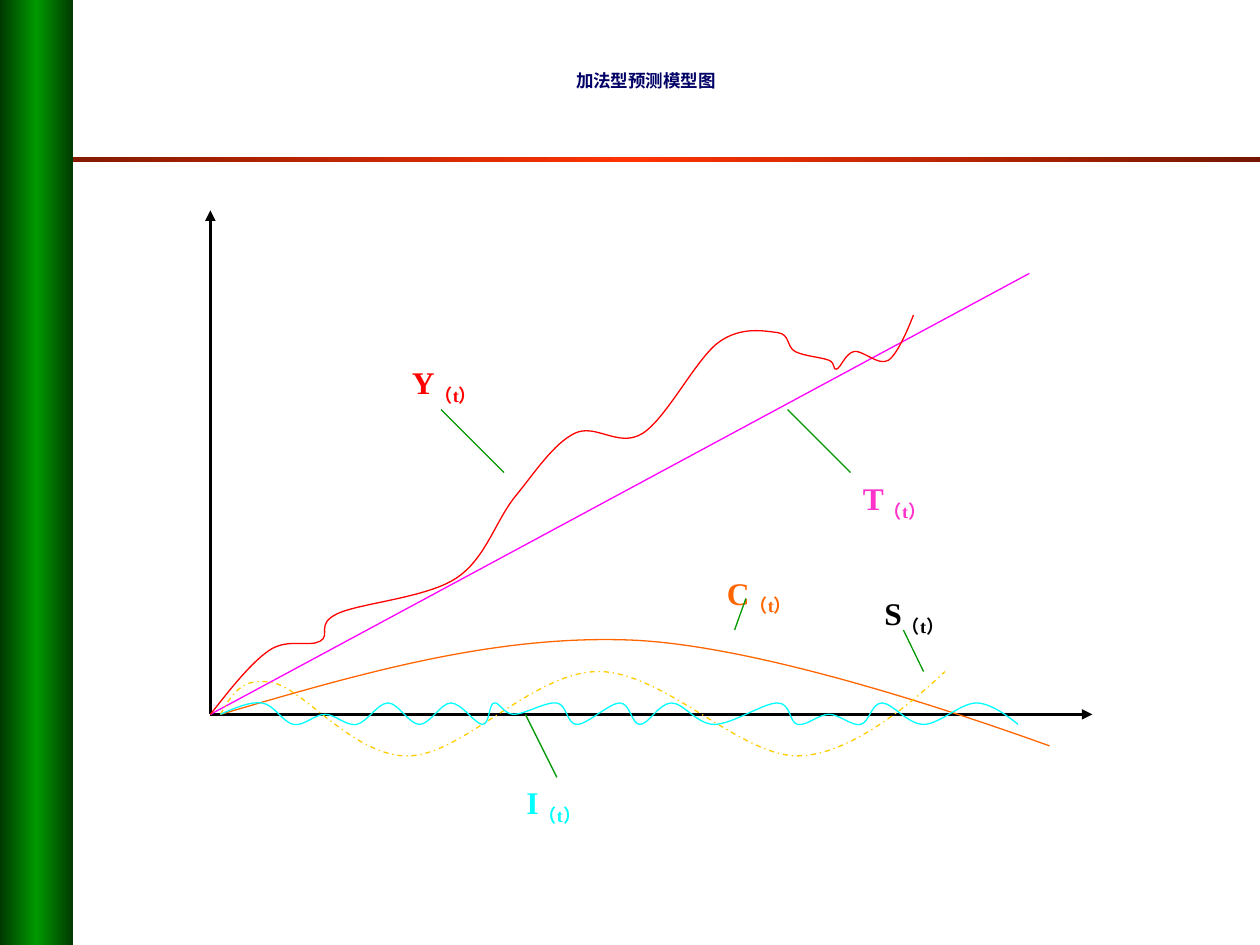
from copy import deepcopy

from lxml import etree
from pptx import Presentation
from pptx.dml.color import RGBColor
from pptx.enum import dml, shapes, text
from pptx.oxml.ns import qn
from pptx.util import Cm, Pt

FONT = "Times New Roman"
NAVY = RGBColor(0x00, 0x00, 0x66)
BLACK = RGBColor(0x00, 0x00, 0x00)
RED = RGBColor(0xFF, 0x00, 0x00)
MAGENTA = RGBColor(0xFF, 0x00, 0xFF)
PINK = RGBColor(0xFF, 0x33, 0xCC)
ORANGE = RGBColor(0xFF, 0x66, 0x00)
YELLOW = RGBColor(0xFF, 0xCC, 0x00)
CYAN = RGBColor(0x00, 0xFF, 0xFF)
GREEN = RGBColor(0x00, 0x99, 0x00)
DARK_GREEN = RGBColor(0x00, 0x3A, 0x00)
RUST = RGBColor(0xFF, 0x33, 0x00)
DARK_RUST = RGBColor(0x75, 0x17, 0x00)

# All positions below are in inches.
TITLE = "加法型预测模型图"
ORIGIN = (1.67, 5.67)
AXIS_ENDS = [(8.67, 5.67), (1.67, 1.67)]
TREND_END = (8.17, 2.17)

# left, top, width, height, edge colour, middle colour, gradient angle
BARS = [
    (0.01, 1.25, 9.99, 0.04, DARK_RUST, RUST, 0),
    (0, 0, 0.58, 7.5, DARK_GREEN, GREEN, 0),
]

# colour, dash, points the smooth curve passes through
CURVES = [
    (RED, None, [
        ORIGIN, (2.14, 5.16), (2.54, 5.09), (2.68, 4.87), (3.62, 4.59),
        (4.09, 3.94), (4.56, 3.44), (5.1, 3.44), (5.7, 2.72), (6.17, 2.64),
        (6.31, 2.79), (6.58, 2.86), (6.64, 2.93), (6.78, 2.79), (7.05, 2.86),
        (7.25, 2.5)]),
    (ORANGE, None, [(1.75, 5.67), (5, 5.08), (8.33, 5.92)]),
    (YELLOW, dml.MSO_LINE.DASH_DOT, [
        (1.75, 5.67), (2.17, 5.42), (3.25, 6), (4.75, 5.33), (6.33, 6),
        (7.5, 5.33)]),
    (CYAN, None, [
        (1.75, 5.67), (2.08, 5.58), (2.33, 5.75), (2.58, 5.67), (2.83, 5.75),
        (3.08, 5.58), (3.33, 5.75), (3.58, 5.58), (3.83, 5.75), (3.92, 5.58),
        (4.08, 5.67), (4.42, 5.58), (4.58, 5.75), (4.92, 5.58), (5.08, 5.75),
        (5.33, 5.58), (5.67, 5.75), (6.17, 5.58), (6.33, 5.75), (6.58, 5.67),
        (6.83, 5.75), (7, 5.58), (7.33, 5.75), (7.75, 5.58), (8.08, 5.75)]),
]

# letter, colour, box, leader start, leader end, size of the closing space
LABELS = [
    ("Y", RED, (3.17, 2.83, 0.75, 0.74), (3.5, 3.25), (4, 3.75), None),
    ("T", PINK, (6.75, 3.75, 0.83, 0.74), (6.25, 3.25), (6.75, 3.75), None),
    ("C", ORANGE, (5.67, 4.42, 0.83, 0.86), (5.92, 4.75), (5.83, 5), 24),
    ("S", BLACK, (6.92, 4.58, 0.92, 0.56), (7.17, 5), (7.33, 5.33), 24),
    ("I", CYAN, (4.08, 6.08, 0.92, 0.56), (4.17, 5.67), (4.42, 6.17), 24),
]


def lengths(*inches):
    return [Cm(2.54 * value) for value in inches]


def add_bar(page, left, top, width, height, edge, middle, angle):
    bar = page.shapes.add_shape(shapes.MSO_SHAPE.RECTANGLE,
                                *lengths(left, top, width, height))
    bar.shadow.inherit = False
    bar.line.fill.background()
    bar.fill.gradient()
    bar.fill.gradient_angle = angle
    first = bar._element.spPr.find(".//" + qn("a:gs"))
    first.addnext(deepcopy(first))
    for stop, color, place in zip(bar.fill.gradient_stops,
                                  (edge, middle, edge), (0, 0.5, 1)):
        stop.color.rgb = color
        stop.position = place


def add_line(page, start, end, color, width=0.75, arrow=False):
    line = page.shapes.add_connector(shapes.MSO_CONNECTOR.STRAIGHT,
                                     *lengths(*start, *end))
    line.line.color.rgb = color
    line.line.width = Pt(width)
    if arrow:
        etree.SubElement(line.line._get_or_add_ln(), qn("a:tailEnd"),
                         type="triangle")
    etree.SubElement(line._element.spPr, qn("a:effectLst"))


def between(start, end, share):
    return tuple(a + (b - a) * share for a, b in zip(start, end))


def bezier_points(knots):
    """Give two handles and an end point for each span of a smooth curve.

    The tangent at an inner knot is parallel to the chord of its neighbours.
    """
    tangents = [None] + [
        tuple((b - a) / 6 for a, b in zip(before, after))
        for before, after in zip(knots, knots[2:])] + [None]
    points = []
    for i, (start, end) in enumerate(zip(knots, knots[1:])):
        leave, arrive = tangents[i], tangents[i + 1]
        if leave:
            handle_out = tuple(a + t for a, t in zip(start, leave))
        if arrive:
            handle_in = tuple(a - t for a, t in zip(end, arrive))
        else:
            handle_in = between(handle_out, end, 0.8)
        if not leave:
            handle_out = between(start, handle_in, 0.5)
        points += [handle_out, handle_in, end]
    return points


def add_curve(page, color, dash, knots):
    builder = page.shapes.build_freeform(*lengths(*knots[0]))
    builder.add_line_segments([lengths(*point) for point in bezier_points(knots)],
                              close=False)
    curve = builder.convert_to_shape()
    curve.shadow.inherit = False
    curve.fill.background()
    curve.line.color.rgb = color
    curve.line.width = Pt(0.75)
    if dash:
        curve.line.dash_style = dash
    outline = curve._element.spPr.find(".//" + qn("a:path"))
    segments = outline.findall(qn("a:lnTo"))
    for i in range(0, len(segments), 3):
        bezier = etree.SubElement(outline, qn("a:cubicBezTo"))
        for segment in segments[i:i + 3]:
            bezier.append(segment[0])
            outline.remove(segment)


def add_label(page, letter, color, place, space_size):
    box = page.shapes.add_textbox(*lengths(*place))
    box.text_frame.word_wrap = True
    para = box.text_frame.paragraphs[0]
    para.space_before = Pt(15 if space_size else 11.2)
    pieces = [(letter, 18), ("（t）", 18)]
    if space_size:
        pieces.append((" ", space_size))
    for piece, size in pieces:
        span = para.add_run()
        span.text = piece
        span.font.name = FONT
        span.font.size = Pt(size)
        span.font.bold = True
        span.font.color.rgb = color
        if piece != letter:
            span.font._element.set("baseline", "-25000")


def main():
    deck = Presentation()
    deck.slide_width, deck.slide_height = lengths(10, 7.5)
    page = deck.slides.add_slide(deck.slide_layouts[5])

    title = page.shapes.title
    title.left, title.top, title.width, title.height = lengths(1.5, 0.53, 7.25, 0.22)
    title.text_frame.text = TITLE
    title.text_frame.vertical_anchor = text.MSO_ANCHOR.MIDDLE
    title.text_frame.auto_size = text.MSO_AUTO_SIZE.NONE
    para = title.text_frame.paragraphs[0]
    para.alignment = text.PP_ALIGN.CENTER
    para.font.name = FONT
    para.font.size = Pt(10)
    para.font.bold = True
    para.font.color.rgb = NAVY

    for bar in BARS:
        add_bar(page, *bar)
    for end in AXIS_ENDS:
        add_line(page, ORIGIN, end, BLACK, 1.5, arrow=True)
    add_line(page, ORIGIN, TREND_END, MAGENTA)
    for curve in CURVES:
        add_curve(page, *curve)
    for letter, color, place, start, end, space_size in LABELS:
        add_label(page, letter, color, place, space_size)
        add_line(page, start, end, GREEN)
    deck.save("out.pptx")


if __name__ == "__main__":
    main()
